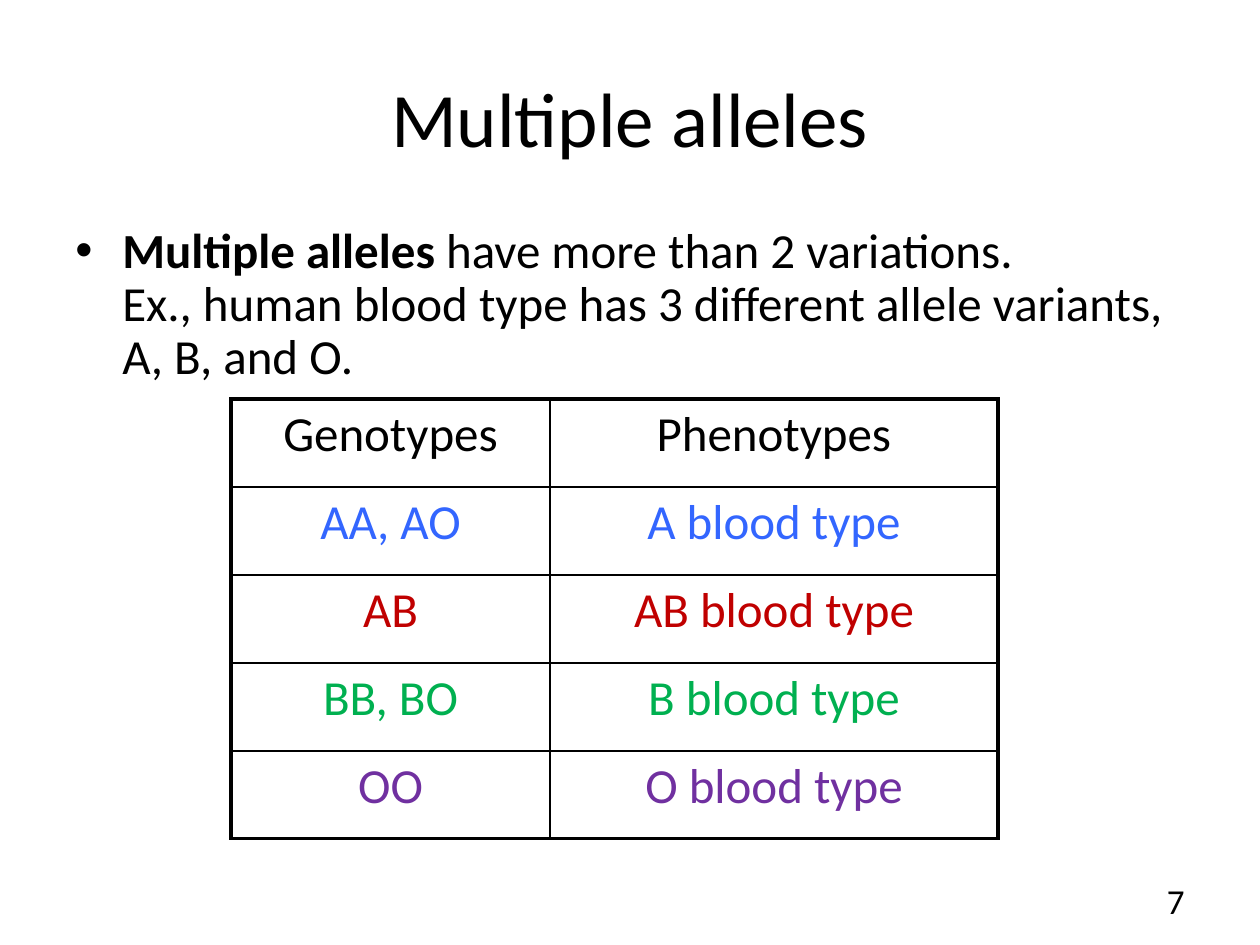
"""Build the slide on multiple alleles with its blood type table."""
from dataclasses import dataclass

from lxml.etree import SubElement
from pptx import Presentation
from pptx.dml.color import RGBColor
from pptx.enum.text import MSO_ANCHOR as Anchor, PP_ALIGN as Align
from pptx.oxml.ns import qn
from pptx.util import Emu, Pt

EMU_PER_PX = 914400 / 126


@dataclass(frozen=True)
class Theme:
    font: str = "Calibri"
    ink: str = "000000"
    blue: str = "3366FF"
    red: str = "C00000"
    green: str = "00B050"
    purple: str = "7030A0"
    title_size: int = 44
    text_size: int = 28
    number_size: int = 20
    outer_line: float = 2.25
    inner_line: float = 1


THEME = Theme()
ROWS = [
    ("Genotypes", "Phenotypes", THEME.ink),
    ("AA, AO", "A blood type", THEME.blue),
    ("AB", "AB blood type", THEME.red),
    ("BB, BO", "B blood type", THEME.green),
    ("OO", "O blood type", THEME.purple),
]
COLUMN_WIDTHS = (319, 448)
ROW_HEIGHT = 88


def px(length):
    return Emu(round(length * EMU_PER_PX))


def place(box, left, top, width, height):
    box.left, box.top, box.width, box.height = map(px, (left, top, width, height))


def write(para, text, *, size=THEME.text_size, color=THEME.ink, bold=False, align=None):
    if align is not None:
        para.alignment = align
    for index, line in enumerate(text.split("\n")):
        if index:
            para.add_line_break()
        span = para.add_run()
        span.text = line
        span.font.name = THEME.font
        span.font.size = Pt(size)
        span.font.bold = bold
        span.font.color.rgb = RGBColor.from_string(color)


def add_title(page, text):
    title = page.shapes.title
    place(title, 63, 38, 1134, 158)
    title.text_frame.vertical_anchor = Anchor.MIDDLE
    write(title.text_frame.paragraphs[0], text, size=THEME.title_size, align=Align.CENTER)


def add_text_box(page, *bounds, anchor=Anchor.TOP):
    box = page.shapes.add_textbox(*map(px, bounds))
    box.text_frame.word_wrap = True
    box.text_frame.vertical_anchor = anchor
    return box.text_frame.paragraphs[0]


def set_bullet(para, indent):
    properties = para._p.get_or_add_pPr()
    properties.set("marL", str(px(indent)))
    properties.set("indent", str(-px(indent)))
    SubElement(properties, qn("a:buFont"), typeface="Arial")
    SubElement(properties, qn("a:buChar"), char="•")


def set_borders(cell, outer_sides):
    properties = cell._tc.get_or_add_tcPr()
    for side in "LRTB":
        width = THEME.outer_line if side in outer_sides else THEME.inner_line
        line = SubElement(properties, qn(f"a:ln{side}"), w=str(Pt(width)))
        fill = SubElement(line, qn("a:solidFill"))
        SubElement(fill, qn("a:srgbClr"), val=THEME.ink)


def add_blood_table(page, left, top):
    last_row, last_column = len(ROWS) - 1, len(COLUMN_WIDTHS) - 1
    bounds = (left, top, sum(COLUMN_WIDTHS), ROW_HEIGHT * len(ROWS))
    table = page.shapes.add_table(len(ROWS), len(COLUMN_WIDTHS), *map(px, bounds)).table
    table.first_row = table.horz_banding = False
    for column, width in zip(table.columns, COLUMN_WIDTHS):
        column.width = px(width)
    for row_index, (*labels, color) in enumerate(ROWS):
        table.rows[row_index].height = px(ROW_HEIGHT)
        for column_index, label in enumerate(labels):
            cell = table.cell(row_index, column_index)
            edges = {"L": column_index == 0, "R": column_index == last_column,
                     "T": row_index == 0, "B": row_index == last_row}
            set_borders(cell, [side for side, outer in edges.items() if outer])
            cell.fill.background()
            write(cell.text_frame.paragraphs[0], label, color=color, align=Align.CENTER)


def main():
    deck = Presentation()
    deck.slide_width, deck.slide_height = px(1260), px(945)
    page = deck.slides.add_slide(deck.slide_layouts[5])
    add_title(page, "Multiple alleles")

    body = add_text_box(page, 63, 220, 1134, 624)
    body.line_spacing = 0.9
    set_bullet(body, 47)
    write(body, "Multiple alleles", bold=True)
    write(body, " have more than 2 variations.\n"
                "Ex., human blood type has 3 different allele variants, A, B, and O.")

    add_blood_table(page, 231, 399)
    number = add_text_box(page, 903, 876, 294, 50, anchor=Anchor.MIDDLE)
    write(number, "7", size=THEME.number_size, align=Align.RIGHT)
    deck.save("out.pptx")


if __name__ == "__main__":
    main()
